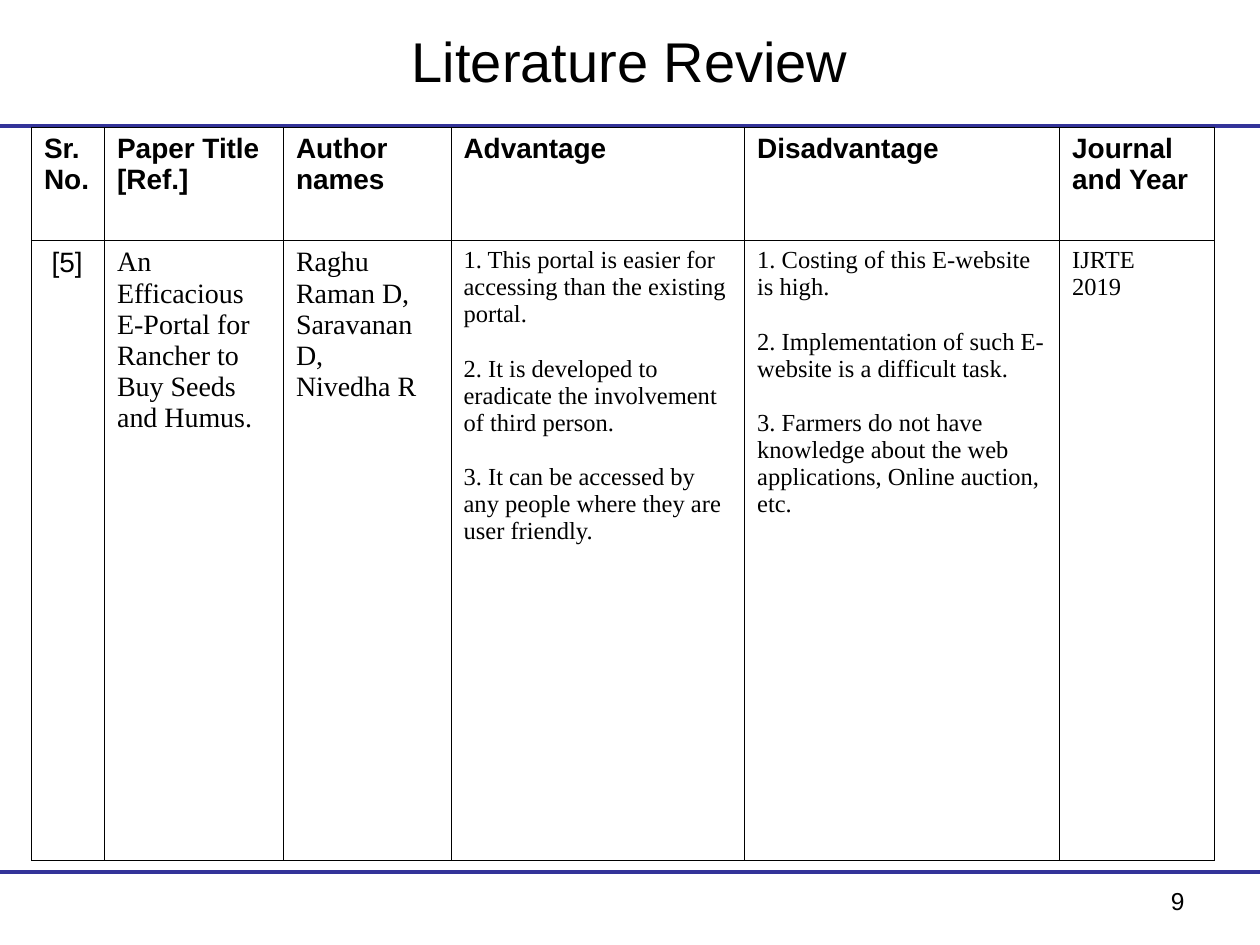
from lxml.etree import SubElement
from pptx import Presentation
from pptx.dml.color import RGBColor
from pptx.enum.shapes import MSO_CONNECTOR as Connector
from pptx.enum.text import MSO_ANCHOR as Anchor, PP_ALIGN as Align
from pptx.oxml.ns import qn
from pptx.util import Inches, Pt

BLACK = RGBColor(0, 0, 0)
WHITE = RGBColor(255, 255, 255)
INDIGO = RGBColor(0x33, 0x33, 0x99)
SANS, SERIF = "Arial", "Times New Roman"

COLUMNS = [0.58, 1.42, 1.33, 2.33, 2.5, 1.23]
ROWS = [0.9, 4.92]
HEADERS = ["Sr. No.", "Paper Title [Ref.]", "Author names",
           "Advantage", "Disadvantage", "Journal and Year"]
REVIEW = [
    ("[5]", SANS, 16),
    ("An Efficacious E-Portal for Rancher to Buy Seeds and Humus.", SERIF, 16),
    ("Raghu Raman D, Saravanan D,\nNivedha R", SERIF, 16),
    ("1. This portal is easier for accessing than the existing portal.\n"
     "2. It is developed to eradicate the involvement of third person.\n"
     "3. It can be accessed by any people where they are user friendly.", SERIF, 14),
    ("1. Costing of this E-website is high.\n"
     "2. Implementation of such E-website is a difficult task.\n"
     "3. Farmers do not have knowledge about the web applications, "
     "Online auction, etc.", SERIF, 14),
    ("IJRTE\n2019", SERIF, 14),
]
LISTS = (3, 4)


def write(frame, text, font, size, bold=False, align=Align.LEFT, gap=0):
    frame.word_wrap = True
    frame.text = text
    for number, para in enumerate(frame.paragraphs):
        para.alignment = align
        para.space_before = Pt(gap if number else 0)
        for span in para.runs:
            span.font.name = font
            span.font.size = Pt(size)
            span.font.bold = bold
            span.font.color.rgb = BLACK


def style_cell(cell):
    properties = cell._tc.get_or_add_tcPr()
    for side in ("a:lnL", "a:lnR", "a:lnT", "a:lnB"):
        border = SubElement(properties, qn(side), w=str(Pt(0.45)))
        fill = SubElement(border, qn("a:solidFill"))
        SubElement(fill, qn("a:srgbClr"), val=str(BLACK))
    cell.fill.solid()
    cell.fill.fore_color.rgb = WHITE


deck = Presentation()
deck.slide_width, deck.slide_height = Inches(10), Inches(7.5)
page = deck.slides.add_slide(deck.slide_layouts[6])

for height in (1, 6.92):
    rule = page.shapes.add_connector(
        Connector.STRAIGHT, 0, Inches(height), deck.slide_width, Inches(height))
    rule.line.color.rgb = INDIGO
    rule.line.width = Pt(2.25)
    SubElement(rule._element.spPr, qn("a:effectLst"))

title = page.shapes.add_textbox(Inches(0.5), Inches(0.13), Inches(9), Inches(0.7))
title.text_frame.vertical_anchor = Anchor.MIDDLE
write(title.text_frame, "Literature Review", SANS, 32, align=Align.CENTER)

page_number = page.shapes.add_textbox(
    Inches(7.17), Inches(6.98), Inches(2.33), Inches(0.52))
write(page_number.text_frame, "9", SANS, 14, align=Align.RIGHT)

table = page.shapes.add_table(
    len(ROWS), len(COLUMNS), Inches(0.25), Inches(1.01),
    Inches(sum(COLUMNS)), Inches(sum(ROWS))).table
for row, height in zip(table.rows, ROWS):
    row.height = Inches(height)
for index, width in enumerate(COLUMNS):
    table.columns[index].width = Inches(width)
    heading, entry = table.cell(0, index), table.cell(1, index)
    style_cell(heading)
    style_cell(entry)
    write(heading.text_frame, HEADERS[index], SANS, 16, bold=True)
    write(entry.text_frame, *REVIEW[index], gap=15.5 if index in LISTS else 0)
table.cell(1, 0).margin_left = Inches(0.16)

deck.save("out.pptx")
